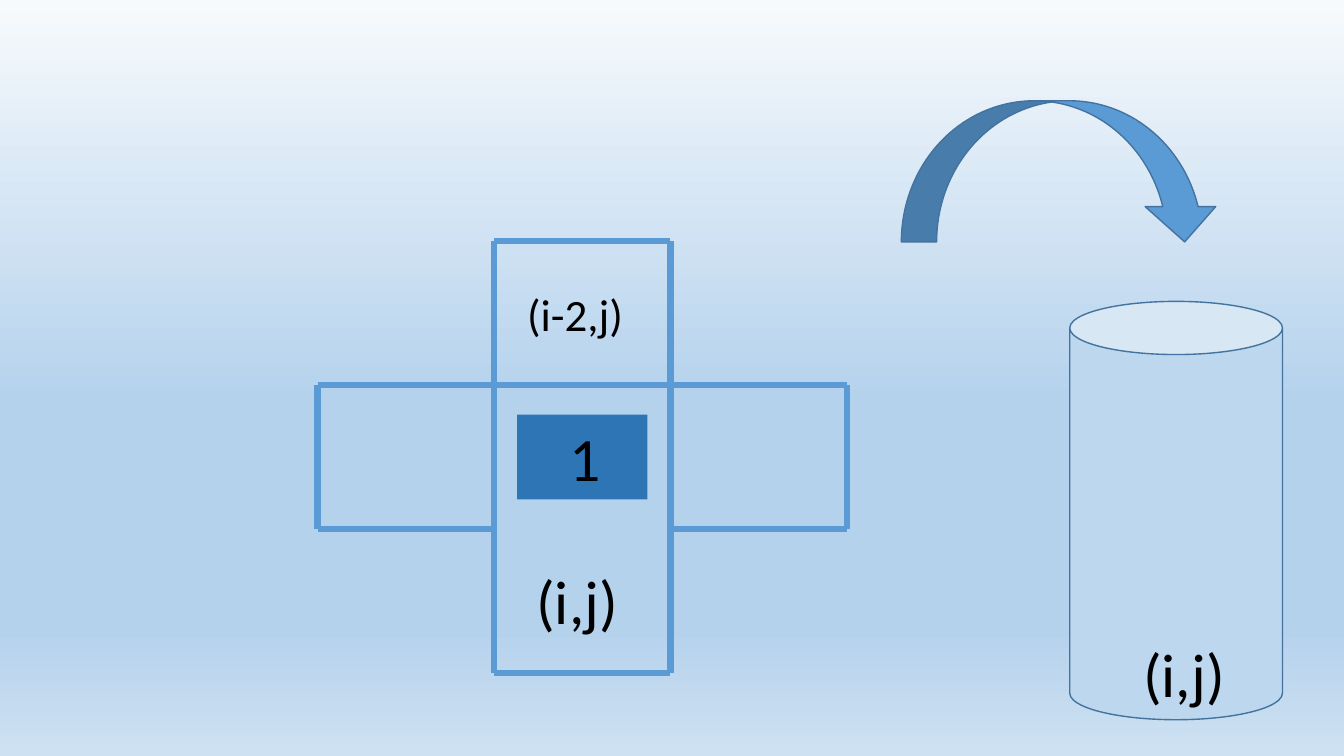
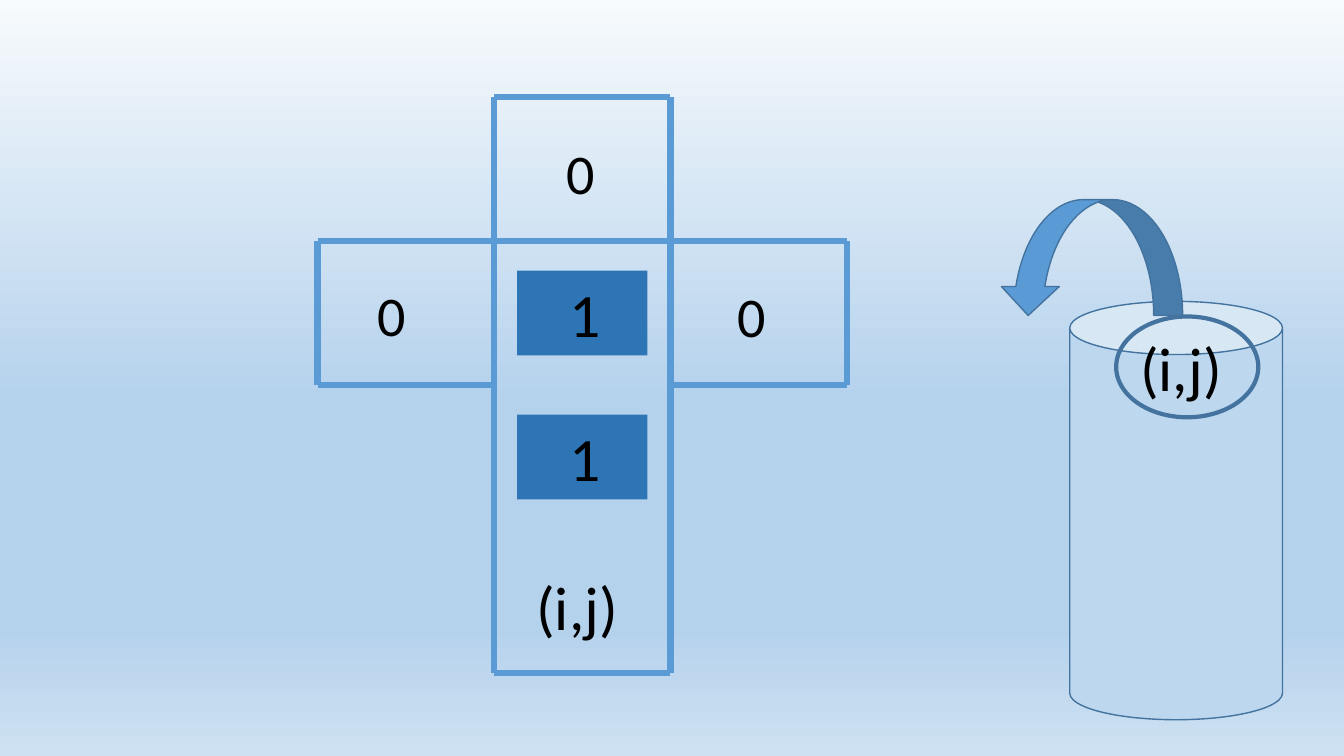
from copy import deepcopy

from lxml import etree
from pptx import Presentation
from pptx.dml.color import RGBColor
from pptx.enum.shapes import MSO_CONNECTOR, MSO_SHAPE
from pptx.enum.text import MSO_ANCHOR, PP_ALIGN
from pptx.oxml.ns import qn
from pptx.util import Inches, Pt

STRAIGHT = MSO_CONNECTOR.STRAIGHT
RECT, CAN, OVAL = MSO_SHAPE.RECTANGLE, MSO_SHAPE.CAN, MSO_SHAPE.OVAL
CURVED_ARROW = MSO_SHAPE.CURVED_DOWN_ARROW
LEFT, CENTER = PP_ALIGN.LEFT, PP_ALIGN.CENTER

FONT = "Calibri"
COLORS = {"grid": "5B9BD5", "token": "2E75B6", "stack": "BDD7EE",
          "outline": "43739E", "text": "000000"}
BACKGROUND = [(0, "F7FAFD"), (53, "B5D2EC"), (83, "B5D2EC"), (100, "CEE1F2")]

# The maze grid: x and y of its corner, then the size of a cell
GRID_X, GRID_Y, CELL_W, CELL_H = 3.15, 0.96, 1.75, 1.43
TOKEN_W, TOKEN_H = 1.29, 0.84
STACK = (10.61, 2.99, 2.11, 4.15)

# Each side of a cell as start column, start row, end column, end row
SIDES = {"top": (0, 0, 1, 0), "bottom": (0, 1, 1, 1),
         "left": (0, 0, 0, 1), "right": (1, 0, 1, 1)}
ALL = tuple(SIDES)
WALLS = ("left", "right")
DEAD_END = WALLS + ("bottom",)

# Cells are keyed by column and row; labels hold text, box and size
STEPS = [
    {"cells": {(0, 2): ALL, (2, 2): ALL, (1, 3): DEAD_END, (1, 1): ALL},
     "token_rows": [2],
     "labels": [("(i,j)", (5.22, 5.54, 1.11, 0.84), 44),
                ("(i-2,j)", (5.13, 2.8, 1.29, 0.64), 32),
                ("(i,j)", (11.24, 6.26, 1.11, 0.84), 44)],
     "arrow": (8.94, 1, 3.16, 1.4), "popped": None},
    {"cells": {(0, 1): ALL, (2, 1): ALL, (1, 0): ALL, (1, 2): WALLS,
               (1, 3): DEAD_END},
     "token_rows": [1, 2],
     "labels": [("(i,j)", (11.21, 3.22, 1.11, 0.84), 44),
                ("0", (3.65, 2.73, 1.06, 0.77), 40),
                ("0", (5.52, 1.33, 1.06, 0.77), 40),
                ("0", (7.22, 2.74, 1.06, 0.77), 40),
                ("(i,j)", (5.22, 5.59, 1.11, 0.84), 44)],
     "arrow": (9.91, 1.98, 1.82, 1.15), "popped": (11.07, 3.14, 1.41, 1)},
]


def add_figure(slide, preset, box, fill=None, line=None, width=1):
    figure = slide.shapes.add_shape(preset, *map(Inches, box))
    figure.shadow.inherit = False
    if fill:
        figure.fill.solid()
        figure.fill.fore_color.rgb = RGBColor.from_string(COLORS[fill])
    else:
        figure.fill.background()
    if line:
        figure.line.color.rgb = RGBColor.from_string(COLORS[line])
        figure.line.width = Pt(width)
    else:
        figure.line.fill.background()
    return figure


def write(shape, text, size=44, align=LEFT, anchor=MSO_ANCHOR.TOP, color="text"):
    frame = shape.text_frame
    frame.word_wrap = True
    frame.vertical_anchor = anchor
    paragraph = frame.paragraphs[0]
    paragraph.alignment = align
    run = paragraph.add_run()
    run.text = text
    run.font.name = FONT
    run.font.size = Pt(size)
    run.font.color.rgb = RGBColor.from_string(COLORS[color])


prs = Presentation()
prs.slide_width, prs.slide_height = Inches(13.33), Inches(7.5)

# Shared background gradient, from top to bottom
master = prs.slide_master
backdrop = master.background.fill
backdrop.gradient()
backdrop.gradient_angle = 270
stop_list = next(master.element.iter(qn("a:gsLst")))
template_stop = deepcopy(stop_list[0])
for old_stop in list(stop_list):
    stop_list.remove(old_stop)
for position, color in BACKGROUND:
    stop = deepcopy(template_stop)
    stop.set("pos", str(position * 1000))
    for old_color in list(stop):
        stop.remove(old_color)
    etree.SubElement(stop, qn("a:srgbClr"), val=color)
    stop_list.append(stop)

for step in STEPS:
    slide = prs.slides.add_slide(prs.slide_layouts[6])

    for (col, row), sides in step["cells"].items():
        for side in sides:
            c1, r1, c2, r2 = SIDES[side]
            wall = slide.shapes.add_connector(
                STRAIGHT,
                Inches(GRID_X + (col + c1) * CELL_W),
                Inches(GRID_Y + (row + r1) * CELL_H),
                Inches(GRID_X + (col + c2) * CELL_W),
                Inches(GRID_Y + (row + r2) * CELL_H))
            wall.line.color.rgb = RGBColor.from_string(COLORS["grid"])
            wall.line.width = Pt(4.5)
            etree.SubElement(wall.element.spPr, qn("a:effectLst"))

    for row in step["token_rows"]:
        token = add_figure(
            slide, RECT,
            (GRID_X + CELL_W + (CELL_W - TOKEN_W) / 2,
             GRID_Y + row * CELL_H + (CELL_H - TOKEN_H) / 2,
             TOKEN_W, TOKEN_H), fill="token")
        token.text_frame.margin_left = Inches(0.15)
        write(token, "1", align=CENTER, anchor=MSO_ANCHOR.MIDDLE)

    add_figure(slide, CAN, STACK, fill="stack", line="outline")

    for text, box, size in step["labels"]:
        write(slide.shapes.add_textbox(*map(Inches, box)), text, size=size)

    if step["popped"]:
        add_figure(slide, OVAL, step["popped"], line="outline", width=3)

    arrow = add_figure(slide, CURVED_ARROW, step["arrow"],
                       fill="grid", line="outline")
    if step["popped"]:
        arrow.element.spPr.find(qn("a:xfrm")).set("flipH", "1")

prs.save("out.pptx")
